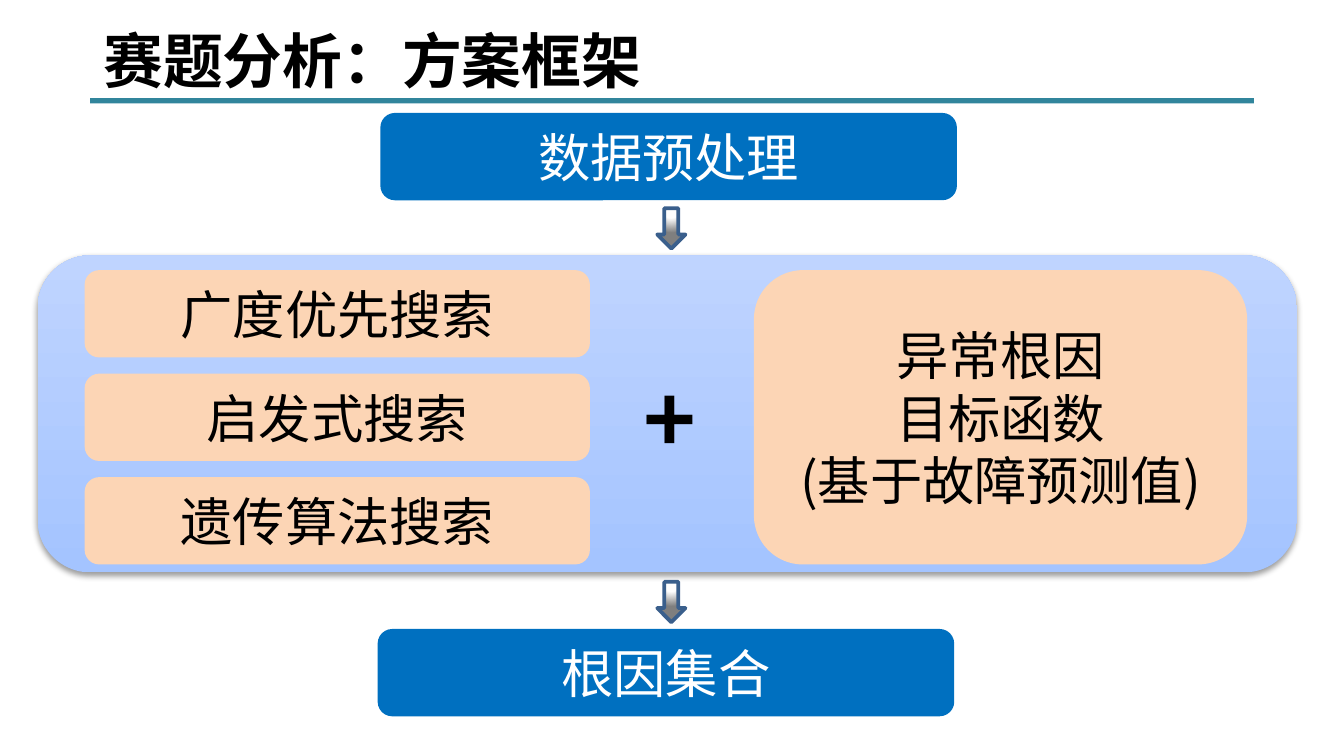
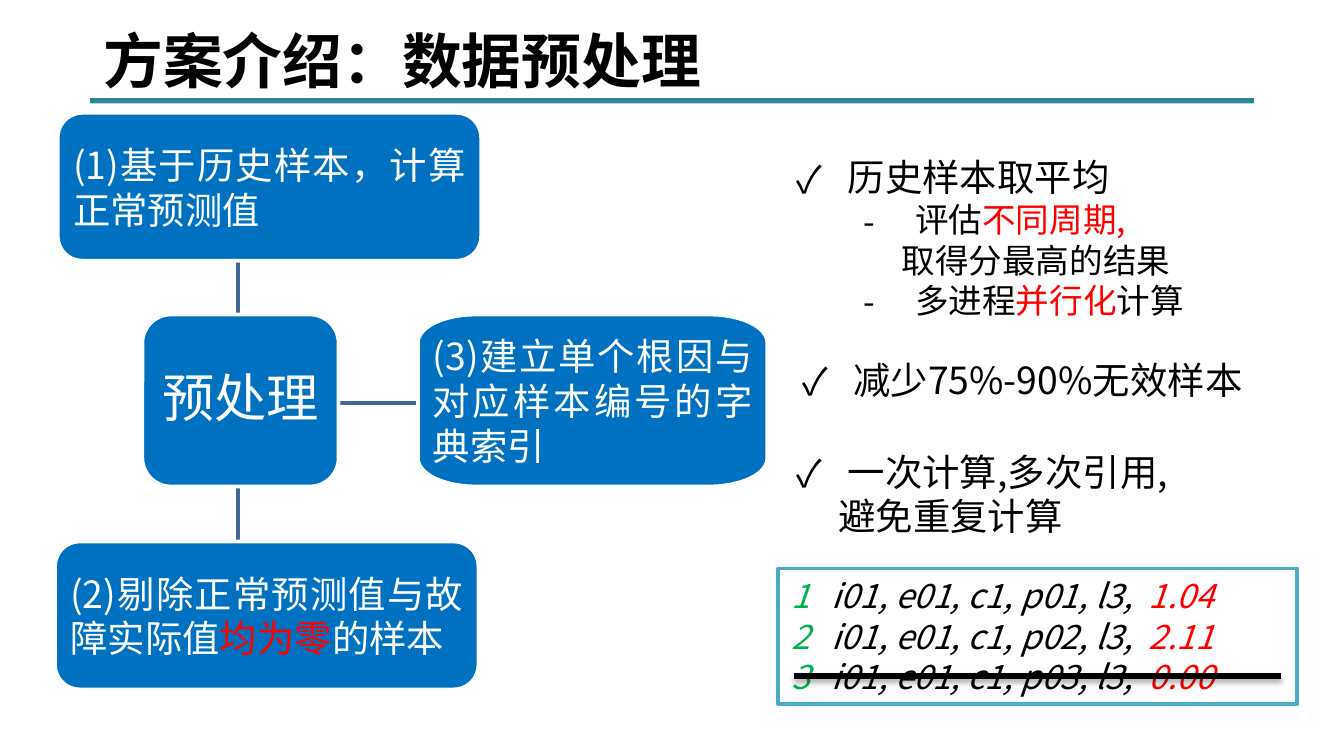
import math

import lxml.etree
import pptx
import pptx.dml.color
import pptx.enum.shapes
import pptx.enum.text
import pptx.oxml.ns
import pptx.util

Inches = pptx.util.Inches
Pt = pptx.util.Pt
qn = pptx.oxml.ns.qn
SHAPES = pptx.enum.shapes.MSO_SHAPE
ALIGN = pptx.enum.text.PP_ALIGN
ANCHOR = pptx.enum.text.MSO_ANCHOR

# Shared look
FONT = "Noto Sans CJK SC"
BLACK, WHITE, RED, GREEN = "000000", "FFFFFF", "FF0000", "00B050"
BLUE, PEACH, TEAL = "0070C0", "FCD5B5", "31859C"
LINK_BLUE, ARROW_BLUE, FRAME_BLUE = "3F6797", "3A5F8C", "4BACC6"
PANEL_STOPS = [(0, "A4C4FF"), (100, "BFD4FF"), (100, "E6EEFF")]
ARROW_STOPS = [(0, "FFFFFF"), (40, "FEFEFE"), (100, "7F7F7F")]


def rgb(color):
    return pptx.dml.color.RGBColor.from_string(color)


def add_xml(parent, tag, **attributes):
    """Append a drawing element with the given attributes."""
    element = lxml.etree.SubElement(parent, qn(tag))
    for name, value in attributes.items():
        element.set(name, str(value))
    return element


# Text
def write(shape, *runs, size=20, color=BLACK, bold=False, italic=False,
          align=ALIGN.LEFT, left=0, hang=0, bullet=None, tabs=(), spacing=None):
    """Add one paragraph; a run is a string or a (string, colour) pair."""
    frame = shape.text_frame
    paragraph = frame.add_paragraph() if frame.text else frame.paragraphs[0]
    paragraph.alignment = align
    if spacing:
        paragraph.line_spacing = spacing
    properties = paragraph._p.get_or_add_pPr()
    if left:
        properties.set("marL", str(Inches(left)))
        properties.set("indent", str(-Inches(hang)))
    if bullet:
        add_xml(properties, "a:buFont", typeface=FONT)
        add_xml(properties, "a:buChar", char=bullet)
    if tabs:
        tab_list = add_xml(properties, "a:tabLst")
        for position in tabs:
            add_xml(tab_list, "a:tab", pos=Inches(position), algn="l")
    for item in runs:
        words, run_color = (item, color) if isinstance(item, str) else item
        run = paragraph.add_run()
        run.text = words
        run.font.size = Pt(size)
        run.font.bold = bold
        run.font.italic = italic
        run.font.color.rgb = rgb(run_color)
        run.font.name = FONT
        add_xml(run.font._element, "a:ea", typeface=FONT)


def set_frame(shape, margins=None, anchor=ANCHOR.TOP):
    frame = shape.text_frame
    frame.word_wrap = True
    frame.vertical_anchor = anchor
    if margins is not None:
        frame.margin_left = frame.margin_right = Inches(margins)
        frame.margin_top = frame.margin_bottom = Inches(margins)


def add_text_box(slide, left, top, width, height):
    box = slide.shapes.add_textbox(*map(Inches, (left, top, width, height)))
    set_frame(box)
    return box


# Shapes
def style(shape, fill=None, line=None, width=2):
    shape.shadow.inherit = False
    if fill:
        shape.fill.solid()
        shape.fill.fore_color.rgb = rgb(fill)
    else:
        shape.fill.background()
    if line:
        shape.line.color.rgb = rgb(line)
        shape.line.width = Pt(width)
    else:
        shape.line.fill.background()


def add_box(slide, kind, left, top, width, height, fill=None, line=None,
            margins=0, anchor=ANCHOR.MIDDLE):
    shape = slide.shapes.add_shape(kind, *map(Inches, (left, top, width, height)))
    style(shape, fill, line)
    set_frame(shape, margins, anchor)
    return shape


def add_label_box(slide, left, top, width, height, *lines, fill=PEACH, color=BLACK):
    box = add_box(slide, SHAPES.ROUNDED_RECTANGLE, left, top, width, height, fill)
    for line in lines:
        write(box, line, size=28, color=color, align=ALIGN.CENTER)


def add_oval_cornered_box(slide, left, top, width, height, radius_x, radius_y, fill, line):
    """Draw a box whose corners are quarter ellipses."""
    steps = 12
    points = []
    for corner in range(4):
        center_x = left + (width - radius_x if corner in (0, 3) else radius_x)
        center_y = top + (height - radius_y if corner in (0, 1) else radius_y)
        for step in range(steps + 1):
            angle = (corner + step / steps) * math.pi / 2
            points.append((Inches(center_x + radius_x * math.cos(angle)),
                           Inches(center_y + radius_y * math.sin(angle))))
    builder = slide.shapes.build_freeform(*points[0])
    builder.add_line_segments(points[1:], close=True)
    shape = builder.convert_to_shape()
    style(shape, fill, line)
    return shape


def set_gradient(shape, stops, angle=None):
    """Fill along an angle, or from a circle when there is none."""
    empty_fill = shape._element.spPr.find(qn("a:noFill"))
    gradient = lxml.etree.Element(qn("a:gradFill"))
    empty_fill.getparent().replace(empty_fill, gradient)
    stop_list = add_xml(gradient, "a:gsLst")
    for position, color in stops:
        stop = add_xml(stop_list, "a:gs", pos=position * 1000)
        add_xml(stop, "a:srgbClr", val=color)
    if angle is not None:
        add_xml(gradient, "a:lin", ang=angle * 60000, scaled=0)
    else:
        circle = add_xml(gradient, "a:path", path="circle")
        add_xml(circle, "a:fillToRect", l=50000, t=-80000, r=50000, b=180000)


def add_shadow(effects, opacity, distance):
    shadow = add_xml(effects, "a:outerShdw", blurRad=Pt(3.1), dist=Pt(distance),
                     dir=5400000, rotWithShape=0)
    color = add_xml(shadow, "a:srgbClr", val=BLACK)
    add_xml(color, "a:alpha", val=opacity * 1000)


def add_line(slide, start_x, start_y, end_x, end_y, color=LINK_BLUE, width=2):
    """Draw a straight line and return its effect list."""
    line = slide.shapes.add_connector(
        pptx.enum.shapes.MSO_CONNECTOR.STRAIGHT,
        *map(Inches, (start_x, start_y, end_x, end_y)))
    line.line.color.rgb = rgb(color)
    line.line.width = Pt(width)
    return add_xml(line._element.spPr, "a:effectLst")


def add_down_arrow(slide, top):
    arrow = add_box(slide, SHAPES.DOWN_ARROW, 4.89, top, 0.21, 0.3, line=ARROW_BLUE)
    set_gradient(arrow, ARROW_STOPS)


def add_titled_slide(presentation, title_text):
    slide = presentation.slides.add_slide(presentation.slide_layouts[5])
    add_box(slide, SHAPES.RECTANGLE, 0.67, 0.73, 8.66, 0.04, TEAL)
    title = slide.shapes.title
    title.left, title.top, title.width, title.height = map(
        Inches, (0.67, 0.13, 6.93, 0.64))
    set_frame(title)
    title.text_frame.auto_size = pptx.enum.text.MSO_AUTO_SIZE.NONE
    write(title, title_text, size=32, bold=True)
    return slide


# Slides
def build_framework(presentation):
    slide = add_titled_slide(presentation, "赛题分析：方案框架")
    panel = add_box(slide, SHAPES.ROUNDED_RECTANGLE, 0.28, 1.9, 9.37, 2.36)
    set_gradient(panel, PANEL_STOPS, angle=270)
    add_shadow(panel._element.spPr.find(qn("a:effectLst")), 38, 1.6)

    # Input and output steps
    add_label_box(slide, 2.83, 0.84, 4.29, 0.65, "数据预处理", fill=BLUE, color=WHITE)
    add_label_box(slide, 2.81, 4.68, 4.29, 0.65, "根因集合", fill=BLUE, color=WHITE)
    for top in (1.55, 4.33):
        add_down_arrow(slide, top)

    # Search methods plus target function
    for row, method in enumerate(("广度优先搜索", "启发式搜索", "遗传算法搜索")):
        add_label_box(slide, 0.63, 2.01 + row * 0.77, 3.76, 0.65, method)
    add_label_box(slide, 5.61, 2.01, 3.67, 2.19,
                  "异常根因", "目标函数", "(基于故障预测值)")
    plus = add_text_box(slide, 4.69, 2.66, 0.83, 0.91)
    write(plus, "+", size=48, bold=True)


def add_step_map(slide):
    # Links lie behind the boxes
    add_line(slide, 1.77, 1.94, 1.77, 2.34)
    add_line(slide, 1.77, 3.62, 1.77, 4.03)
    add_line(slide, 2.53, 3, 3.11, 3)

    steps = [
        (0.43, 0.84, ["(1)基于历史样本，计算正常预测值"]),
        (0.41, 4.03, ["(2)剔除正常预测值与故障实际值", ("均为零", RED), "的样本"]),
    ]
    for left, top, runs in steps:
        step = add_box(slide, SHAPES.ROUNDED_RECTANGLE, left, top, 3.15, 1.1,
                       BLUE, WHITE, margins=0.06)
        write(step, *runs, color=WHITE, align=ALIGN.JUSTIFY)

    center = add_box(slide, SHAPES.ROUNDED_RECTANGLE, 1.06, 2.34, 1.46, 1.28,
                     BLUE, WHITE, margins=0.08)
    write(center, "预处理", size=28, color=WHITE, align=ALIGN.CENTER, spacing=0.9)

    index = add_oval_cornered_box(slide, 3.11, 2.34, 2.6, 1.28, 0.43, 0.21, BLUE, WHITE)
    set_frame(index, 0.11, ANCHOR.MIDDLE)
    write(index, "(3)建立单个根因与对应样本编号的字典索引",
          color=WHITE, align=ALIGN.JUSTIFY)


def add_notes_column(slide):
    check = {"left": 0.38, "hang": 0.38, "bullet": "✓"}
    dash = {"left": 0.88, "hang": 0.38, "bullet": "-", "size": 18}

    average = add_text_box(slide, 5.83, 1.1, 3.82, 1.68)
    write(average, "历史样本取平均", **check)
    write(average, "评估", ("不同周期,", RED), **dash)
    write(average, "取得分最高的结果", size=18, left=0.78)
    write(average, "多进程", ("并行化", RED), "计算", **dash)

    reduction = add_text_box(slide, 5.87, 2.61, 3.78, 0.44)
    write(reduction, "减少75%-90%无效样本", **check)

    reuse = add_text_box(slide, 5.83, 3.29, 3.82, 0.77)
    write(reuse, "一次计算,多次引用,", **check)
    write(reuse, "避免重复计算", left=0.31)


def add_samples(slide):
    samples = add_box(slide, SHAPES.RECTANGLE, 5.79, 4.23, 3.86, 1.01,
                      WHITE, FRAME_BLUE, margins=None, anchor=ANCHOR.TOP)
    for number, value in enumerate(("1.04", "2.11", "0.00"), start=1):
        write(samples, (str(number), GREEN), f"\ti01, e01, c1, p0{number}, l3,\t",
              (value, RED), size=18, italic=True, tabs=(0.3, 2.66))
    # Strike out the zero sample
    effects = add_line(slide, 5.91, 5.03, 9.53, 5.03, BLACK, 3)
    add_shadow(effects, 35, 1.8)


def build_preprocessing(presentation):
    slide = add_titled_slide(presentation, "方案介绍：数据预处理")
    add_step_map(slide)
    add_notes_column(slide)
    add_samples(slide)


def main():
    presentation = pptx.Presentation()
    presentation.slide_width = Inches(10)
    presentation.slide_height = Inches(10 * 9 / 16)
    build_framework(presentation)
    build_preprocessing(presentation)
    presentation.save("out.pptx")


if __name__ == "__main__":
    main()
